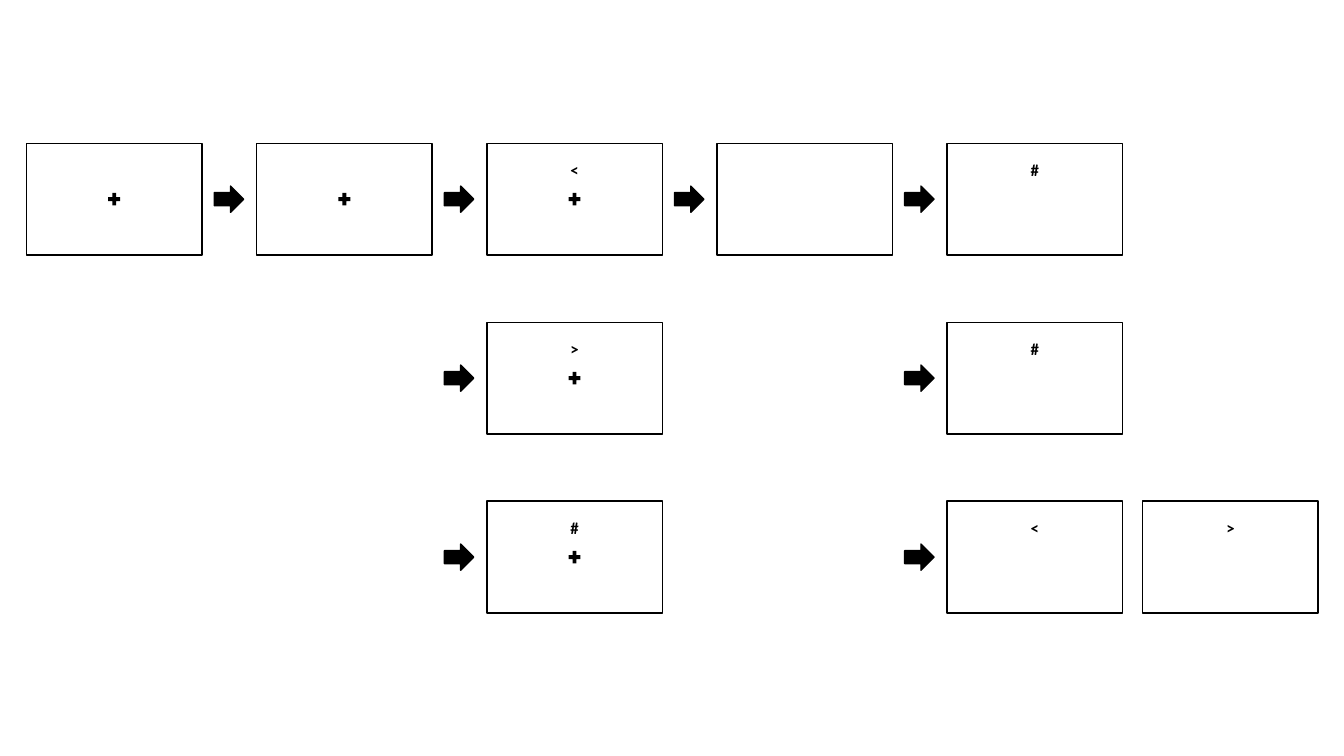
from dataclasses import dataclass

from pptx import Presentation
from pptx.dml.color import RGBColor
from pptx.enum.shapes import MSO_SHAPE
from pptx.enum.text import MSO_AUTO_SIZE, PP_ALIGN
from pptx.util import Cm, Pt

RECT = MSO_SHAPE.RECTANGLE
ARROW = MSO_SHAPE.RIGHT_ARROW
PLUS = MSO_SHAPE.MATH_PLUS
FIT = MSO_AUTO_SIZE.SHAPE_TO_FIT_TEXT
CENTER = PP_ALIGN.CENTER


@dataclass(frozen=True)
class Theme:
    ink: RGBColor = RGBColor(0, 0, 0)
    font: str = "Calibri"
    size: Pt = Pt(12)
    line: Pt = Pt(1)


THEME = Theme()

# Grid of screens, in cm
LEFT, TOP = 0.67, 3.61
WIDE, HIGH = 4.42, 2.82
COL, ROW = 5.8, 4.51
PAIR = 4.93  # step between two screens that share a cell

# Column, row, symbol, fixation cross, arrow in front
SCREENS = [
    (0, 0, "", True, False),
    (1, 0, "", True, True),
    (2, 0, "<", True, True),
    (3, 0, "", False, True),
    (4, 0, "#", False, True),
    (2, 1, ">", True, True),
    (4, 1, "#", False, True),
    (2, 2, "#", True, True),
    (4, 2, "<", False, True),
]


def add_form(group, kind, x, y, w, h, fill=True, line=True):
    form = group.shapes.add_shape(kind, Cm(x), Cm(y), Cm(w), Cm(h))
    form.shadow.inherit = False
    if fill:
        form.fill.solid()
        form.fill.fore_color.rgb = THEME.ink
    else:
        form.fill.background()
    if line:
        form.line.color.rgb = THEME.ink
        form.line.width = THEME.line
    else:
        form.line.fill.background()


def add_symbol(group, text, x, y, w, h):
    frame = group.shapes.add_textbox(Cm(x), Cm(y), Cm(w), Cm(h)).text_frame
    frame.word_wrap = False
    frame.auto_size = FIT
    frame.text = text
    line = frame.paragraphs[0]
    line.alignment = CENTER
    font = line.runs[0].font
    font.name, font.size, font.bold = THEME.font, THEME.size, True
    font.color.rgb = THEME.ink


def add_screen(group, x, y, symbol, cross, arrow):
    """Draw one trial screen with its top left corner at x, y."""
    add_form(group, RECT, x, y, WIDE, HIGH, fill=False)
    mid_x, mid_y = x + WIDE / 2, y + HIGH / 2
    if arrow:
        w, h = 0.74, 0.66
        add_form(group, ARROW, x - 1.07, mid_y - h / 2, w, h)
    if cross:
        w, h = 0.41, 0.43
        add_form(group, PLUS, mid_x - w / 2, mid_y - h / 2, w, h, line=False)
    if symbol:
        w, h = 0.74, 0.76
        add_symbol(group, symbol, mid_x - w / 2, y + 0.3, w, h)


def add_trial(slide):
    group = slide.shapes.add_group_shape()
    for col, row, *parts in SCREENS:
        add_screen(group, LEFT + col * COL, TOP + row * ROW, *parts)
    add_screen(group, LEFT + 4 * COL + PAIR, TOP + 2 * ROW, ">", False, False)


def main():
    deck = Presentation()
    deck.slide_width, deck.slide_height = Cm(33.87), Cm(19.05)
    add_trial(deck.slides.add_slide(deck.slide_layouts[6]))
    deck.save("out.pptx")


if __name__ == "__main__":
    main()
